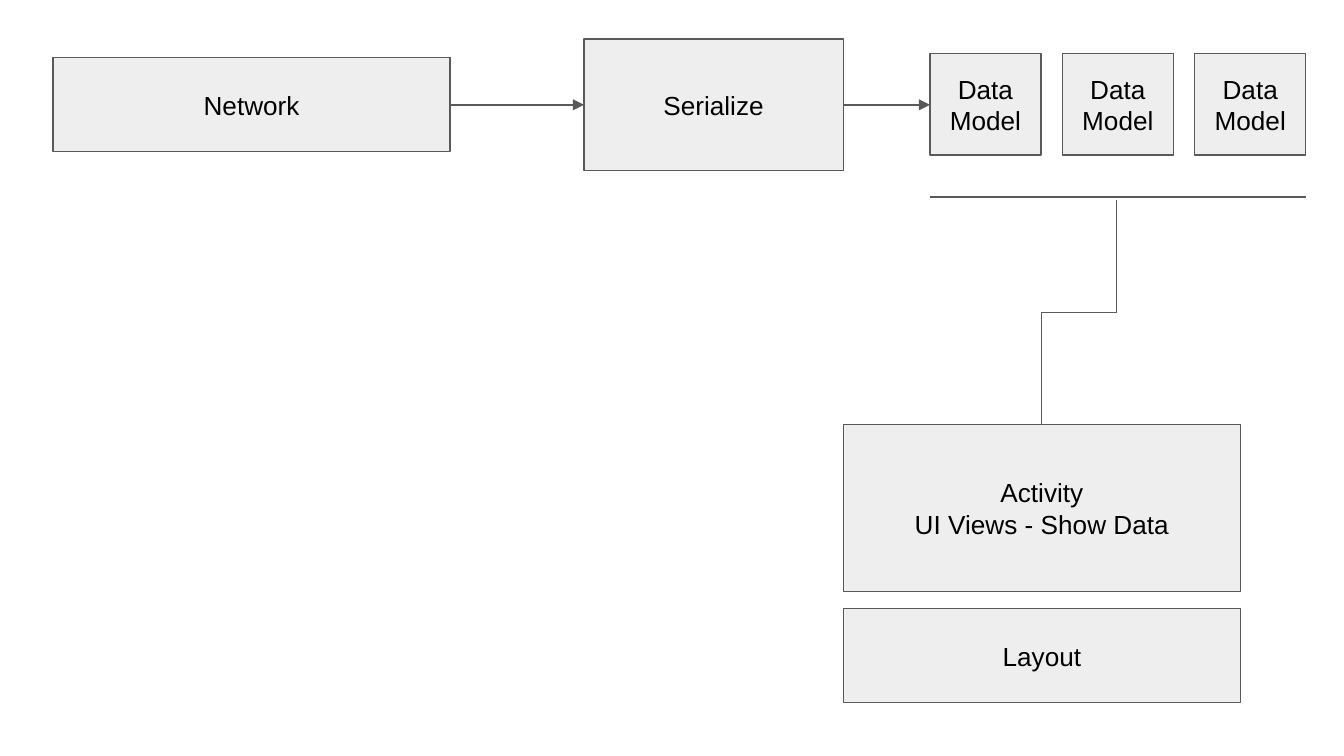
from pptx import Presentation
from pptx.dml.color import RGBColor
from pptx.enum.shapes import MSO_CONNECTOR, MSO_SHAPE
from pptx.enum.text import MSO_ANCHOR, PP_ALIGN
from pptx.oxml.ns import qn
from pptx.util import Pt
from lxml import etree

RECTANGLE = MSO_SHAPE.RECTANGLE
STRAIGHT, ELBOW = MSO_CONNECTOR.STRAIGHT, MSO_CONNECTOR.ELBOW
MIDDLE, CENTER = MSO_ANCHOR.MIDDLE, PP_ALIGN.CENTER

PX = 4572  # EMU per px, 200 px to the inch

THEME = {
    "fill": RGBColor.from_string("EEEEEE"),
    "line": RGBColor.from_string("595959"),
    "line_width": Pt(0.75),
    "font": {"name": "Arial", "size": Pt(14)},
    "text": RGBColor.from_string("000000"),
}
FRAME_FORMAT = {
    "word_wrap": True,
    "vertical_anchor": MIDDLE,
    "margin_left": 20 * PX,
    "margin_right": 20 * PX,
    "margin_top": 20 * PX,
    "margin_bottom": 20 * PX,
}

prs = Presentation()
prs.slide_width, prs.slide_height = 2000 * PX, 1125 * PX
slide = prs.slides.add_slide(prs.slide_layouts[6])


def add_box(lines, left, top, width, height):
    box = slide.shapes.add_shape(RECTANGLE, left * PX, top * PX, width * PX, height * PX)
    box.shadow.inherit = False
    box.fill.solid()
    box.fill.fore_color.rgb = THEME["fill"]
    box.line.color.rgb = THEME["line"]
    box.line.width = THEME["line_width"]
    frame = box.text_frame
    for attribute, value in FRAME_FORMAT.items():
        setattr(frame, attribute, value)
    frame.text = "\n".join(lines)
    for paragraph in frame.paragraphs:
        paragraph.alignment = CENTER
        font = paragraph.runs[0].font
        for attribute, value in THEME["font"].items():
            setattr(font, attribute, value)
        font.color.rgb = THEME["text"]


def add_link(kind, x1, y1, x2, y2, arrow=False):
    link = slide.shapes.add_connector(kind, *(int(v * PX) for v in (x1, y1, x2, y2)))
    link.line.color.rgb = THEME["line"]
    link.line.width = THEME["line_width"]
    properties = link._element.spPr
    etree.SubElement(properties, qn("a:effectLst"))
    if arrow:
        etree.SubElement(properties.find(qn("a:ln")), qn("a:tailEnd"), type="triangle")
    return link


# Screen: activity and its layout
add_box(["Activity", "UI Views - Show Data"], 1255, 632, 591, 248)
add_box(["Layout"], 1255, 906, 591, 140)

# Data source and serializer
add_box(["Network"], 79, 86, 591, 140)
add_box(["Serialize"], 869, 58, 386, 196)

# Row of data models
models_left, model_step, model_width = 1384, 197, 165
for index in range(3):
    add_box(["Data Model"], models_left + index * model_step, 80, model_width, 151)
models_right = models_left + 2 * model_step + model_width

# Flow arrows and the line that gathers the models
add_link(STRAIGHT, 670, 156, 869, 156, arrow=True)
add_link(STRAIGHT, 1255, 156, models_left, 156, arrow=True)
add_link(STRAIGHT, models_left, 293, models_right, 293)

# Elbow from the models down to the activity, turned to leave vertically
start_x, start_y, end_x, end_y = 1661, 298, 1550, 632
center_x, center_y = (start_x + end_x) / 2, (start_y + end_y) / 2
half_run, half_shift = (end_y - start_y) / 2, (start_x - end_x) / 2
elbow = add_link(ELBOW, center_x - half_run, center_y - half_shift,
                 center_x + half_run, center_y + half_shift)
elbow._element.spPr.find(qn("a:xfrm")).set("rot", str(90 * 60000))

prs.save("out.pptx")
